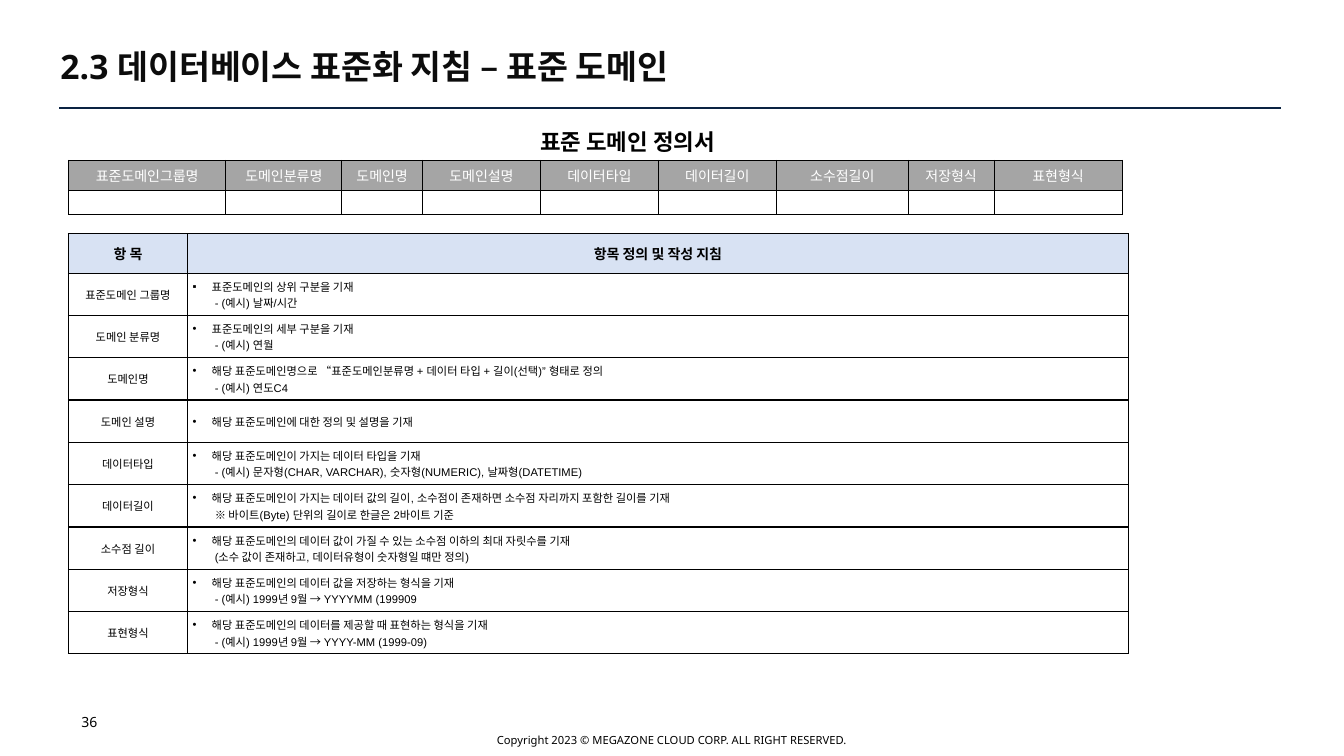
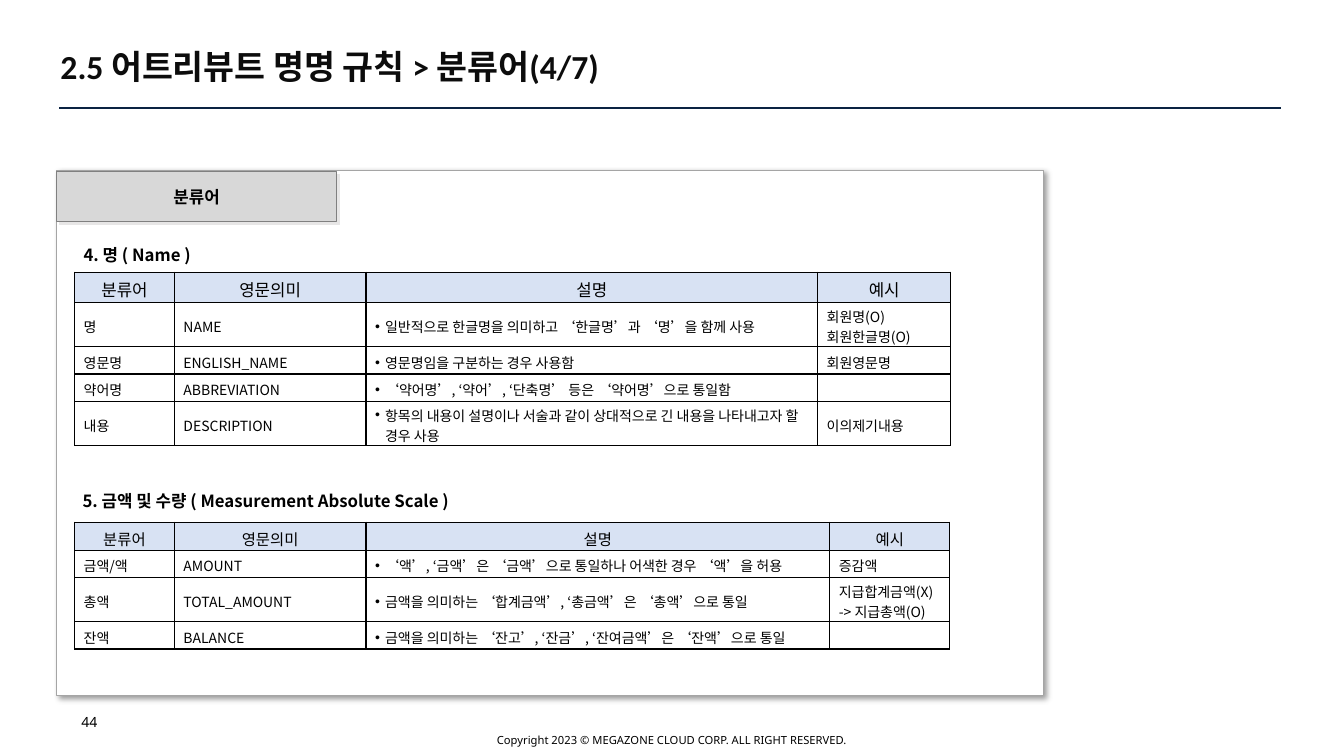
from dataclasses import dataclass

from lxml import etree
from pptx import Presentation
from pptx import util as u
from pptx.dml.color import RGBColor
from pptx.enum import shapes, text
from pptx.oxml import ns

MID, LEFT, CENTER = text.MSO_ANCHOR.MIDDLE, text.PP_ALIGN.LEFT, text.PP_ALIGN.CENTER
BULLETS = "▪•"


@dataclass(frozen=True)
class Theme:
    """Colours, fonts and type sizes of the deck."""
    ink: str = "000000"
    title_ink: str = "0C0C0C"
    rule: str = "0A2342"
    white: str = "FFFFFF"
    gray: str = "A5A5A5"
    tab_fill: str = "D8D8D8"
    tab_line: str = "808080"
    tab_shadow: str = "E7E6E6"
    head: str = "D8E2F3"
    noto: str = "Noto Sans"
    korean: str = "Noto Sans CJK KR"
    calibri: str = "Calibri"
    arial: str = "Arial"
    title: int = 24
    subtitle: int = 16
    heading: int = 12
    subheading: int = 11
    body: int = 10
    small: int = 8


T = Theme()


@dataclass(frozen=True)
class TableStyle:
    """Look of one kind of table."""
    font: str
    head_size: int
    body_size: int
    head_fill: str = T.head
    head_ink: str = T.ink
    head_bold: bool = False
    line: float = 1
    margins: tuple = (0.05, 0.05)
    side: float = 0.09
    hang: float = 0.1
    centered: tuple = ()


def add(parent, tag, **attrs):
    """Append a DrawingML element."""
    return etree.SubElement(parent, ns.qn(tag), {k: str(v) for k, v in attrs.items()})


def rgb(value):
    """Turn a hex string into a colour."""
    return RGBColor.from_string(value)


class Deck:
    """Style and current slide, with one method for each kind of element."""

    def __init__(self):
        """Start a wide presentation."""
        self.prs = Presentation()
        self.prs.slide_width = u.Inches(13.33)
        self.prs.slide_height = u.Inches(7.5)
        self.s = None

    def slide(self, number, title, font):
        """Add a slide with its title, rule and footer."""
        self.s = self.prs.slides.add_slide(self.prs.slide_layouts[6])
        self.rule(0.59, 1.07, 12.71)
        p = self.text(4.32, 7.13, 4.69, 0.3,
                      "Copyright 2023 © MEGAZONE CLOUD CORP. ALL RIGHT RESERVED.",
                      T.noto, T.small, align=CENTER, anchor=MID)
        p.line_spacing = 2.0
        self.text(0.71, 7.03, 3.69, 0.4, number, T.noto, T.body)
        p = self.text(0.6, 0.48, 12.11, 0.4, title, font, T.title, T.title_ink,
                      True, anchor=MID, margins=(0, 0))
        p.line_spacing = 0.9

    def rule(self, x1, y, x2):
        """Draw the horizontal rule under the title."""
        line = self.s.shapes.add_connector(
            shapes.MSO_CONNECTOR.STRAIGHT, *map(u.Inches, (x1, y, x2, y)))
        line.line.color.rgb = rgb(T.rule)
        line.line.width = u.Pt(1.5)
        add(line._element.spPr, "a:effectLst")

    def style(self, p, font, size, color=T.ink, bold=False, align=LEFT):
        """Format a paragraph, its runs and its end mark."""
        p.alignment = align
        for r in p.runs:
            r.font.name, r.font.size, r.font.bold = font, u.Pt(size), bold
            r.font.color.rgb = rgb(color)
            latin = r.font._element.find(ns.qn("a:latin"))
            ea = etree.Element(ns.qn("a:ea"), typeface=T.korean)
            latin.addnext(ea)
        if not p.runs:
            end = add(p._p, "a:endParaRPr", sz=size * 100)
            add(end, "a:latin", typeface=T.calibri)

    def text(self, x, y, w, h, value, font, size, color=T.ink, bold=False,
             align=LEFT, anchor=text.MSO_ANCHOR.TOP, margins=(0.1, 0.05)):
        """Add a text box and return its paragraph."""
        tf = self.s.shapes.add_textbox(*map(u.Inches, (x, y, w, h))).text_frame
        tf.word_wrap = True
        tf.vertical_anchor = anchor
        tf.margin_left = tf.margin_right = u.Inches(margins[0])
        tf.margin_top = tf.margin_bottom = u.Inches(margins[1])
        tf.text = value
        p = tf.paragraphs[0]
        self.style(p, font, size, color, bold, align)
        return p

    def box(self, kind, x, y, w, h, fill, line, width, shadow):
        """Add a filled shape with an outer shadow."""
        sp = self.s.shapes.add_shape(kind, *map(u.Inches, (x, y, w, h)))
        sp.fill.solid()
        sp.fill.fore_color.rgb = rgb(fill)
        sp.line.color.rgb = rgb(line)
        sp.line.width = u.Pt(width)
        sp.shadow.inherit = False
        color, alpha, blur, dist = shadow
        effects = sp._element.spPr.find(ns.qn("a:effectLst"))
        outer = add(effects, "a:outerShdw", blurRad=u.Pt(blur), dist=u.Pt(dist),
                    dir=45 * 60000, algn="tl", rotWithShape=0)
        add(add(outer, "a:srgbClr", val=color), "a:alpha", val=alpha * 1000)
        return sp

    def panel(self, x, y, w, h, label):
        """Add a shadowed panel with a label tab at its top left."""
        sp = self.box(shapes.MSO_SHAPE.ROUNDED_RECTANGLE, x, y, w, h,
                      T.white, T.gray, 1, (T.ink, 40, 4, 3))
        sp.adjustments[0] = 0
        sp = self.box(shapes.MSO_SHAPE.RECTANGLE, x, y + 0.01, 2.78, 0.5,
                      T.tab_fill, T.tab_line, 0.75, (T.tab_shadow, 100, 0, 2.8))
        tf = sp.text_frame
        tf.vertical_anchor = MID
        tf.text = label
        self.style(tf.paragraphs[0], T.korean, T.heading, bold=True, align=CENTER)

    def bullet(self, p, char, hang):
        """Give a paragraph a hanging bullet."""
        pPr = p._p.get_or_add_pPr()
        pPr.set("marL", str(u.Inches(hang)))
        pPr.set("indent", str(-u.Inches(hang)))
        add(add(pPr, "a:buClr"), "a:srgbClr", val=T.ink)
        add(pPr, "a:buFont", typeface=T.arial)
        add(pPr, "a:buChar", char=char)

    def cell(self, cell, value, st, head, centered):
        """Fill and format one table cell."""
        tcPr = cell._tc.get_or_add_tcPr()
        for edge in "LRTB":
            ln = add(tcPr, f"a:ln{edge}", w=u.Pt(st.line))
            add(add(ln, "a:solidFill"), "a:srgbClr", val=T.ink)
        cell.fill.solid()
        cell.fill.fore_color.rgb = rgb(st.head_fill if head else T.white)
        cell.vertical_anchor = MID
        cell.margin_left = cell.margin_right = u.Inches(st.side)
        cell.margin_top, cell.margin_bottom = map(u.Inches, st.margins)
        lines = value.split("\n")
        marked = value[:1] and value[0] in BULLETS
        cell.text_frame.text = "\n".join(line.lstrip(BULLETS) for line in lines)
        for p, line in zip(cell.text_frame.paragraphs, lines):
            if line[:1] and line[0] in BULLETS:
                self.bullet(p, line[0], st.hang)
            elif marked:
                p._p.get_or_add_pPr().set("marL", str(u.Inches(st.hang + 0.03)))
            self.style(p, st.font, st.head_size if head else st.body_size,
                       st.head_ink if head else T.ink, head and st.head_bold,
                       CENTER if head or centered else LEFT)

    def table(self, x, y, widths, heights, rows, st):
        """Add a table whose first row is the header."""
        frame = self.s.shapes.add_table(
            len(rows), len(widths), *map(u.Inches, (x, y, sum(widths), sum(heights))))
        tbl = frame.table
        tbl.first_row = tbl.horz_banding = False
        for col, w in zip(tbl.columns, widths):
            col.width = u.Inches(w)
        for i, (row, h) in enumerate(zip(rows, heights)):
            tbl.rows[i].height = u.Inches(h)
            for j, value in enumerate(row):
                self.cell(tbl.cell(i, j), value, st, i == 0, j in st.centered)


FORM = TableStyle(T.calibri, T.body, T.small, T.gray, T.white, line=0.75, side=0.1)
GUIDE = TableStyle(T.arial, T.body, T.small, head_bold=True, side=0.05, hang=0.19,
                   centered=(0,))
NAMES = TableStyle(T.korean, T.heading, T.body, margins=(0.04, 0))
AMOUNTS = TableStyle(T.korean, T.subheading, T.body, margins=(0.04, 0))

FORM_HEAD = ["표준도메인그룹명", "도메인분류명", "도메인명", "도메인설명", "데이터타입",
             "데이터길이", "소수점길이", "저장형식", "표현형식"]
GUIDE_ROWS = [
    ("항 목", "항목 정의 및 작성 지침"),
    ("표준도메인 그룹명", "▪표준도메인의 상위 구분을 기재\n- (예시) 날짜/시간"),
    ("도메인 분류명", "•표준도메인의 세부 구분을 기재\n- (예시) 연월"),
    ("도메인명", "•해당 표준도메인명으로 “표준도메인분류명 + 데이터 타입 + 길이(선택)” 형태로 정의\n"
     "- (예시) 연도C4"),
    ("도메인 설명", "•해당 표준도메인에 대한 정의 및 설명을 기재"),
    ("데이터타입", "•해당 표준도메인이 가지는 데이터 타입을 기재\n"
     "- (예시) 문자형(CHAR, VARCHAR), 숫자형(NUMERIC), 날짜형(DATETIME)"),
    ("데이터길이", "•해당 표준도메인이 가지는 데이터 값의 길이, 소수점이 존재하면 소수점 자리까지 "
     "포함한 길이를 기재\n※ 바이트(Byte) 단위의 길이로 한글은 2바이트 기준"),
    ("소수점 길이", "•해당 표준도메인의 데이터 값이 가질 수 있는 소수점 이하의 최대 자릿수를 기재\n"
     "(소수 값이 존재하고, 데이터유형이 숫자형일 떄만 정의)"),
    ("저장형식", "•해당 표준도메인의 데이터 값을 저장하는 형식을 기재\n"
     "- (예시) 1999년 9월 → YYYYMM (199909"),
    ("표현형식", "•해당 표준도메인의 데이터를 제공할 때 표현하는 형식을 기재\n"
     "- (예시) 1999년 9월 → YYYY-MM (1999-09)"),
]
WORD_HEAD = ("분류어", "영문의미", "설명", "예시")
NAME_ROWS = [
    WORD_HEAD,
    ("명", "NAME", "•일반적으로 한글명을 의미하고 ‘한글명’과 ‘명’을 함께 사용", "회원명(O)\n회원한글명(O)"),
    ("영문명", "ENGLISH_NAME", "•영문명임을 구분하는 경우 사용함", "회원영문명"),
    ("약어명", "ABBREVIATION", "•‘약어명’, ‘약어’, ‘단축명’ 등은 ‘약어명’으로 통일함", ""),
    ("내용", "DESCRIPTION",
     "•항목의 내용이 설명이나 서술과 같이 상대적으로 긴 내용을 나타내고자 할 경우 사용", "이의제기내용"),
]
AMOUNT_ROWS = [
    WORD_HEAD,
    ("금액/액", "AMOUNT", "•‘액’, ‘금액’은 ‘금액’으로 통일하나 어색한 경우 ‘액’을 허용", "증감액"),
    ("총액", "TOTAL_AMOUNT", "•금액을 의미하는 ‘합계금액’, ‘총금액’은 ‘총액’으로 통일",
     "지급합계금액(X) -> 지급총액(O)"),
    ("잔액", "BALANCE", "•금액을 의미하는 ‘잔고’, ‘잔금’, ‘잔여금액’은 ‘잔액’으로 통일", ""),
]


def main():
    """Build both slides and save them."""
    deck = Deck()
    deck.slide("36", "2.3 데이터베이스 표준화 지침 – 표준 도메인", T.noto)
    deck.table(0.68, 2.32, [1.18, 9.33], [0.39] + [0.42] * 9, GUIDE_ROWS, GUIDE)
    deck.table(0.68, 1.59, [1.56, 1.15, 0.8, 1.17, 1.17, 1.17, 1.31, 0.85, 1.27],
               [0.3, 0.24], [FORM_HEAD, [""] * len(FORM_HEAD)], FORM)
    deck.text(5.26, 1.22, 2.12, 0.37, "표준 도메인 정의서", T.calibri, T.subtitle, bold=True)

    deck.slide("44", "2.5 어트리뷰트 명명 규칙 > 분류어(4/7)", T.calibri)
    deck.panel(0.56, 1.69, 9.79, 5.21, "분류어")
    deck.text(0.73, 2.38, 5.21, 0.3, "4. 명 ( Name )", T.korean, T.heading, bold=True)
    deck.table(0.74, 2.7, [0.99, 1.9, 4.48, 1.32], [0.3, 0.44, 0.27, 0.27, 0.44],
               NAME_ROWS, NAMES)
    deck.text(0.72, 4.82, 5.21, 0.3, "5. 금액 및 수량 ( Measurement Absolute Scale )",
              T.korean, T.heading, bold=True)
    deck.table(0.74, 5.18, [0.99, 1.9, 4.6, 1.19], [0.28, 0.27, 0.44, 0.27],
               AMOUNT_ROWS, AMOUNTS)
    deck.prs.save("out.pptx")


if __name__ == "__main__":
    main()
